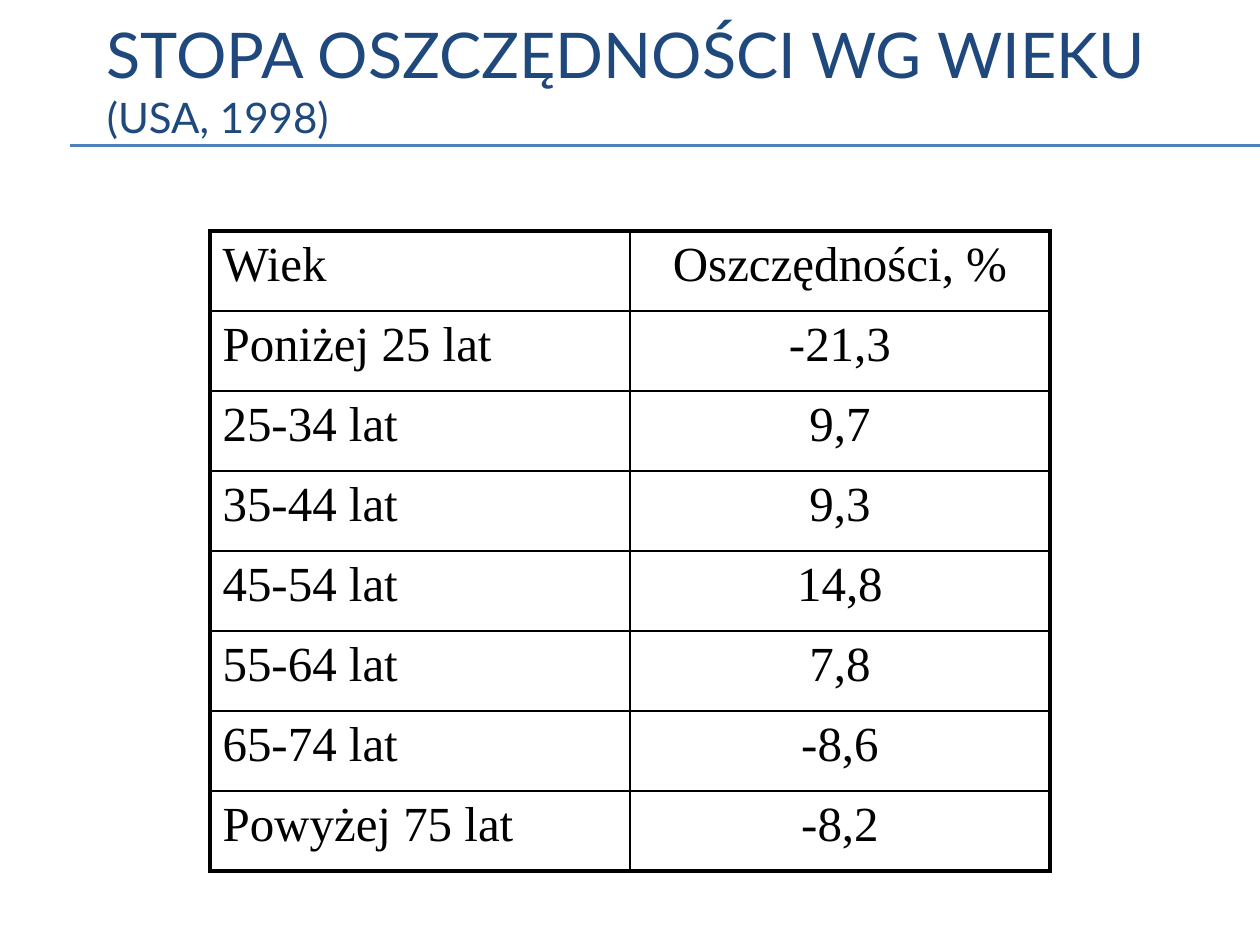
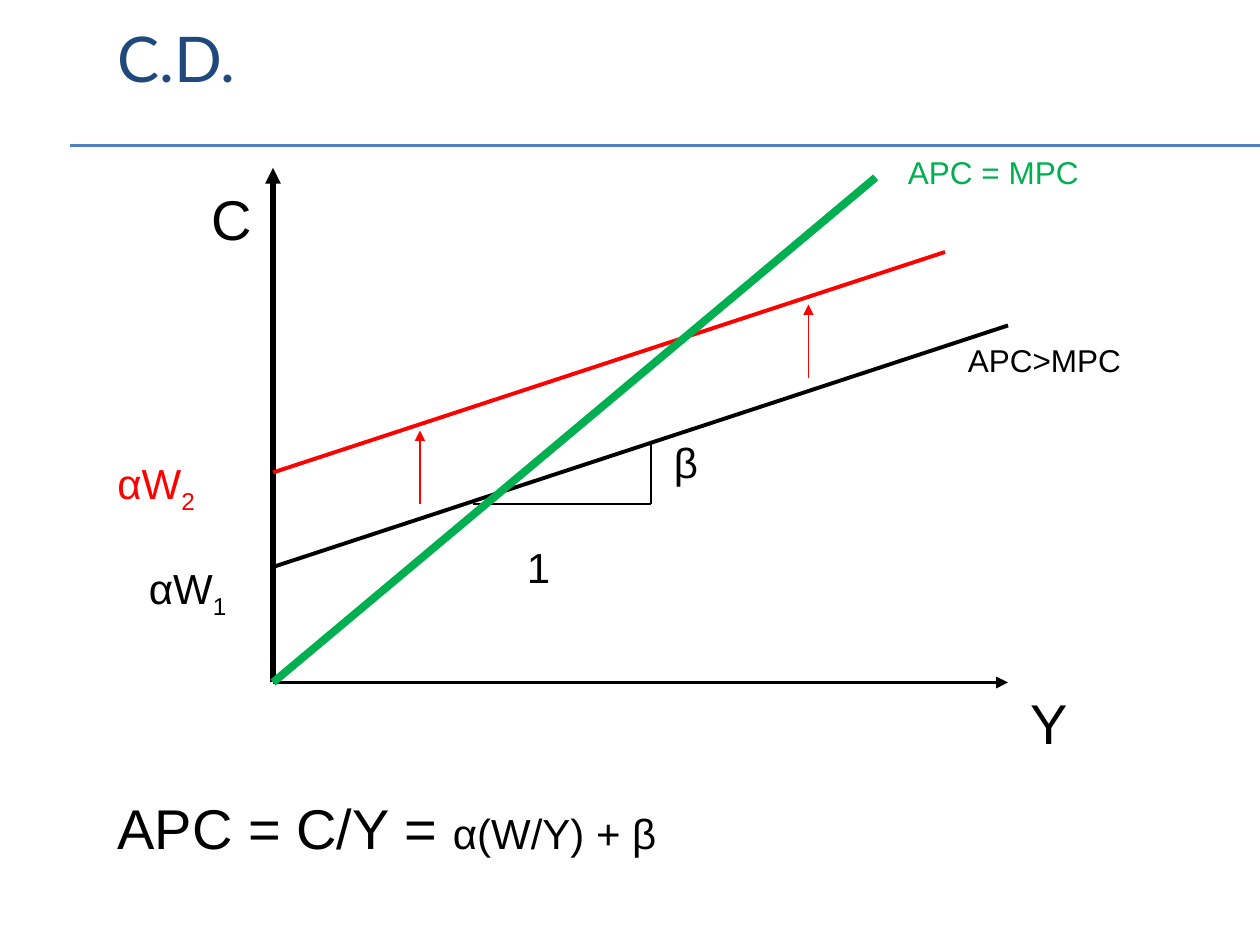
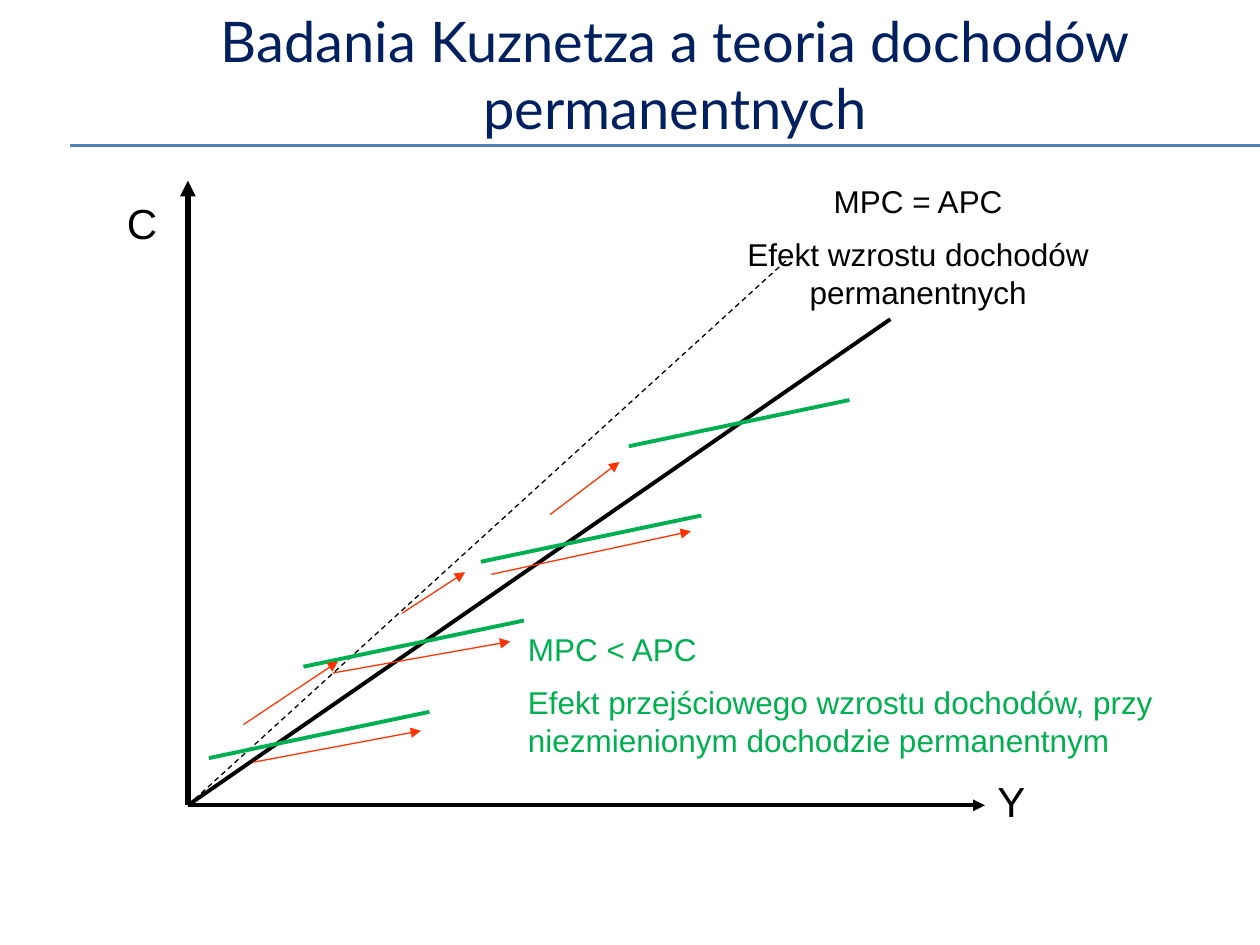
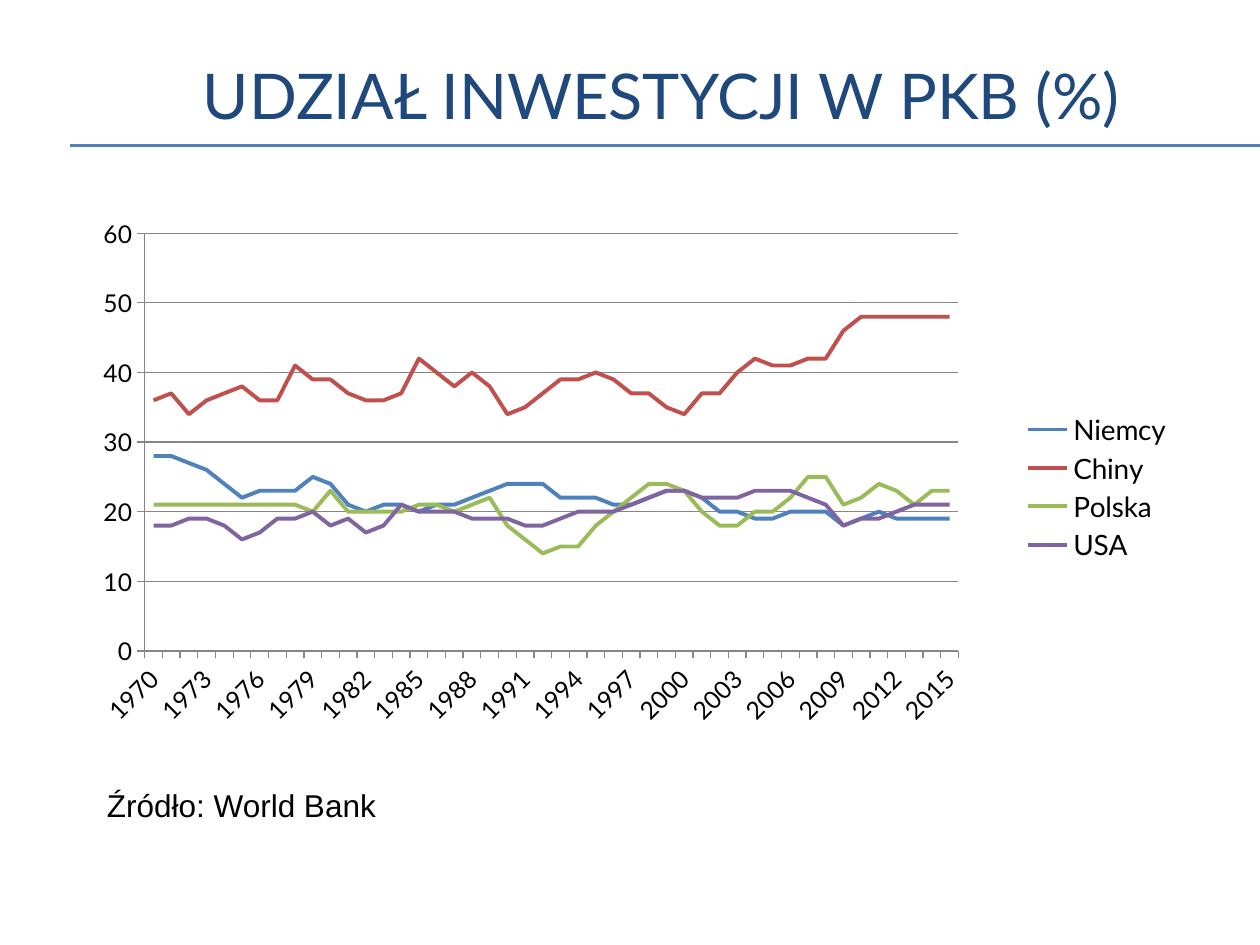
from dataclasses import dataclass
from lxml.etree import SubElement
from pptx import Presentation
from pptx.chart.data import CategoryChartData
from pptx.dml.color import RGBColor
from pptx.enum.chart import XL_CHART_TYPE, XL_LEGEND_POSITION, XL_TICK_MARK
from pptx.enum.dml import MSO_LINE
from pptx.enum.shapes import MSO_CONNECTOR
from pptx.enum.text import MSO_ANCHOR, MSO_AUTO_SIZE, PP_ALIGN
from pptx.oxml import parse_xml
from pptx.oxml.ns import nsdecls, qn
from pptx.util import Inches, Pt


@dataclass(frozen=True)
class Theme:
    title_color: str = "1F497D"
    navy: str = "002060"
    rule: str = "4F81BD"
    ink: str = "000000"
    red: str = "FF0000"
    orange: str = "FF3300"
    green: str = "00B050"
    grid: str = "868686"
    series: tuple = ("4F81BD", "C0504D", "9BBB59", "8064A2")
    title_font: str = "Lato"
    body_font: str = "Arial"
    table_font: str = "Times New Roman"
    title: int = 36
    large: int = 32
    cell: int = 28
    symbol: int = 24
    legend: int = 16
    note: int = 18
    tick: int = 14
    hair: float = 0.75
    thin: float = 1
    medium: float = 2.25
    axis: float = 3
    thick: float = 4.5


T = Theme()
WIDTH, HEIGHT = 10, 7.5
COLUMNS = 120
UNIT = WIDTH / COLUMNS
RULE_ROWS = (13.8, 13.9)

SAVINGS_TITLE = [[("STOPA OSZCZĘDNOŚCI WG WIEKU\n", {}), ("(USA, 1998)", {"size": T.symbol})]]
SAVINGS_BOX = (20, 22, 80, 61)
SAVINGS = [
    ("Wiek", "Oszczędności, %"),
    ("Poniżej 25 lat", "-21,3"),
    ("25-34 lat", "9,7"),
    ("35-44 lat", "9,3"),
    ("45-54 lat", "14,8"),
    ("55-64 lat", "7,8"),
    ("65-74 lat", "-8,6"),
    ("Powyżej 75 lat", "-8,2"),
]

WEALTH_ORIGIN = (26, 65)
WEALTH_LINES = [
    ((62, 48), (62, 42), {}),
    (WEALTH_ORIGIN, (26, 16), {"width": T.axis, "arrow": True}),
    (WEALTH_ORIGIN, (96, 65), {"width": T.medium, "arrow": True}),
    ((26, 54), (96, 31), {"width": T.medium}),
    ((45, 48), (62, 48), {}),
    ((26, 45), (90, 24), {"width": T.medium, "color": T.red}),
    ((77, 36), (77, 29), {"color": T.red, "arrow": True}),
    ((40, 48), (40, 41), {"color": T.red, "arrow": True}),
    (WEALTH_ORIGIN, (83.4, 16.9), {"width": T.thick, "color": T.green}),
]
SUBSCRIPT = {"baseline": -25000}
WEALTH_LABELS = [
    ((19, 17, 6, 7.6), "C", {"size": T.large}),
    ((97, 65, 7, 7.6), "Y", {"size": T.large}),
    ((13, 53, 12, 6), [[("αW", {}), ("1", SUBSCRIPT)]], {"size": T.symbol}),
    ((49, 51, 8, 6), "1", {"size": T.symbol}),
    ((63, 41, 6, 6), "β", {"size": T.symbol}),
    ((10, 75, 96, 7.6), [[("APC = C/Y = ", {}), ("α(W/Y) + β", {"size": T.symbol})]],
     {"size": T.large}),
    ((10, 43, 14, 6), [[("αW", {}), ("2", SUBSCRIPT)]], {"size": T.symbol, "color": T.red}),
    ((91, 31.9, 18.7, 4.8), "APC>MPC", {}),
    ((85.3, 14, 18.7, 4.8), "APC = MPC", {"color": T.green}),
]

INCOME_ORIGIN = (17.9, 76.7)
INCOME_LINES = [
    (INCOME_ORIGIN, (17.9, 17.2), {"width": T.axis, "arrow": True}),
    (INCOME_ORIGIN, (93.8, 76.7), {"width": T.medium, "arrow": True}),
    (INCOME_ORIGIN, (74.9, 24.8), {"dash": True}),
    (INCOME_ORIGIN, (84.8, 30.4), {"width": T.medium}),
]
SHORT_RUN_STARTS = [(19.9, 72.2), (28.9, 63.5), (45.8, 53.5), (59.9, 42.5)]
SHORT_RUN_SPAN = (21, -4.4)
INCOME_SHIFTS = [
    ((24.1, 72.6), (40.1, 69.6)),
    ((23.2, 69), (32.2, 63)),
    ((31.7, 64.1), (48.6, 61.1)),
    ((38.3, 58.4), (44.3, 54.5)),
    ((46.8, 54.7), (65.8, 50.6)),
    ((52.4, 49), (59, 44)),
]
INCOME_LABELS = [
    ((68, 16.7, 38.9, 15.4), ["MPC = APC", "Efekt wzrostu dochodów permanentnych"],
     {"align": PP_ALIGN.CENTER, "before": 0.5}),
    ((49.1, 59.4, 67.1, 15.4),
     ["MPC < APC",
      "Efekt przejściowego wzrostu dochodów, przy niezmienionym dochodzie permanentnym"],
     {"color": T.green, "before": 0.5}),
    ((10.9, 18.2, 7, 6.6), "C", {"size": T.symbol}),
    ((93.8, 73.3, 8, 6.6), "Y", {"size": T.symbol}),
]

INVESTMENT_BOX = (9, 20.4, 103.9, 52)
INVESTMENT_PLOT = {"x": 0.046, "y": 0.035, "w": 0.746, "h": 0.765}
YEARS = [str(year) for year in range(1970, 2016)]
INVESTMENT = {
    "Niemcy": [28, 28, 27, 26, 24, 22, 23, 23, 23, 25, 24, 21, 20, 21, 21, 20,
               21, 21, 22, 23, 24, 24, 24, 22, 22, 22, 21, 21, 22, 23, 23, 22,
               20, 20, 19, 19, 20, 20, 20, 18, 19, 20, 19, 19, 19, 19],
    "Chiny": [36, 37, 34, 36, 37, 38, 36, 36, 41, 39, 39, 37, 36, 36, 37, 42,
              40, 38, 40, 38, 34, 35, 37, 39, 39, 40, 39, 37, 37, 35, 34, 37,
              37, 40, 42, 41, 41, 42, 42, 46, 48, 48, 48, 48, 48, 48],
    "Polska": [21, 21, 21, 21, 21, 21, 21, 21, 21, 20, 23, 20, 20, 20, 20, 21,
               21, 20, 21, 22, 18, 16, 14, 15, 15, 18, 20, 22, 24, 24, 23, 20,
               18, 18, 20, 20, 22, 25, 25, 21, 22, 24, 23, 21, 23, 23],
    "USA": [18, 18, 19, 19, 18, 16, 17, 19, 19, 20, 18, 19, 17, 18, 21, 20,
            20, 20, 19, 19, 19, 18, 18, 19, 20, 20, 20, 21, 22, 23, 23, 22,
            22, 22, 23, 23, 23, 22, 21, 18, 19, 19, 20, 21, 21, 21],
}


def grid(*cells):
    return [Inches(cell * UNIT) for cell in cells]


def set_font(font, size, name, color=T.ink):
    font.size, font.name = Pt(size), name
    font.color.rgb = RGBColor.from_string(color)


def write(frame, content, size=T.note, font=T.body_font, color=T.ink,
          align=PP_ALIGN.LEFT, before=0):
    paragraphs = [content] if isinstance(content, str) else content
    for index, runs in enumerate(paragraphs):
        paragraph = frame.add_paragraph() if index else frame.paragraphs[0]
        paragraph.alignment = align
        paragraph.space_before = Pt(size * before)
        for words, change in [(runs, {})] if isinstance(runs, str) else runs:
            run = paragraph.add_run()
            run.text = words.rstrip("\n")
            set_font(run.font, change.get("size", size), font, color)
            if "baseline" in change:
                run._r.get_or_add_rPr().set("baseline", str(change["baseline"]))
            if words.endswith("\n"):
                paragraph.add_line_break()


def add_text(slide, box, content, anchor=MSO_ANCHOR.TOP, fit=True, **style):
    frame = slide.shapes.add_textbox(*grid(*box)).text_frame
    frame.word_wrap = True
    frame.vertical_anchor = anchor
    frame.auto_size = MSO_AUTO_SIZE.SHAPE_TO_FIT_TEXT if fit else MSO_AUTO_SIZE.NONE
    write(frame, content, **style)


def add_title(slide, box, content, **style):
    style = {"size": T.title, "font": T.title_font, "color": T.title_color,
             "anchor": MSO_ANCHOR.MIDDLE, "fit": False, **style}
    add_text(slide, box, content, **style)


def add_line(slide, start, end, color=T.ink, width=T.hair, arrow=False, dash=False):
    segment = slide.shapes.add_connector(MSO_CONNECTOR.STRAIGHT, *grid(*start, *end))
    segment.line.color.rgb = RGBColor.from_string(color)
    segment.line.width = Pt(width)
    if dash:
        segment.line.dash_style = MSO_LINE.DASH
    properties = segment._element.spPr
    if arrow:
        SubElement(properties.find(qn("a:ln")), qn("a:tailEnd"), type="triangle")
    SubElement(properties, qn("a:effectLst"))


def add_diagram(slide, lines, labels):
    for start, end, style in lines:
        add_line(slide, start, end, **style)
    for box, content, style in labels:
        add_text(slide, box, content, **style)


def add_slide(deck):
    slide = deck.slides.add_slide(deck.slide_layouts[6])
    for row in RULE_ROWS:
        add_line(slide, (6.7, row), (COLUMNS, row), color=T.rule)
    return slide


def set_borders(cell, widths):
    properties = cell._tc.get_or_add_tcPr()
    for index, (side, width) in enumerate(zip("LRTB", widths)):
        properties.insert(index, parse_xml(
            f'<a:ln{side} {nsdecls("a")} w="{int(Pt(width))}"><a:solidFill>'
            f'<a:srgbClr val="{T.ink}"/></a:solidFill></a:ln{side}>'))


def build_savings(deck):
    slide = add_slide(deck)
    add_title(slide, (9, 0, 102, 15), SAVINGS_TITLE)
    row_count, column_count = len(SAVINGS), len(SAVINGS[0])
    table = slide.shapes.add_table(row_count, column_count, *grid(*SAVINGS_BOX)).table
    table.first_row = table.horz_banding = False
    for row in table.rows:
        row.height = Inches(SAVINGS_BOX[3] * UNIT / row_count)
    for r, values in enumerate(SAVINGS):
        for c, value in enumerate(values):
            cell = table.cell(r, c)
            cell.fill.background()
            outer = (c == 0, c == column_count - 1, r == 0, r == row_count - 1)
            set_borders(cell, [T.medium if edge else T.thin for edge in outer])
            write(cell.text_frame, value, size=T.cell, font=T.table_font, before=0.2,
                  align=PP_ALIGN.CENTER if c else PP_ALIGN.LEFT)


def build_wealth(deck):
    slide = add_slide(deck)
    add_title(slide, (10, 0, 102, 11), "C.D.")
    add_diagram(slide, WEALTH_LINES, WEALTH_LABELS)


def build_income(deck):
    slide = add_slide(deck)
    dx, dy = SHORT_RUN_SPAN
    short_run = [((x, y), (x + dx, y + dy), {"color": T.green, "width": T.medium})
                 for x, y in SHORT_RUN_STARTS]
    shifts = [(start, end, {"color": T.orange, "arrow": True}) for start, end in INCOME_SHIFTS]
    add_diagram(slide, INCOME_LINES + short_run + shifts, INCOME_LABELS)
    add_title(slide, (13.7, 0, 101.2, 14.2), "Badania Kuznetza a teoria dochodów permanentnych",
              size=T.large, color=T.navy, align=PP_ALIGN.CENTER,
              anchor=MSO_ANCHOR.TOP, fit=True)


def build_investment(deck):
    slide = add_slide(deck)
    add_title(slide, (6, 3.5, 114, 11), "UDZIAŁ INWESTYCJI W PKB (%)", align=PP_ALIGN.CENTER)
    data = CategoryChartData()
    data.categories = YEARS
    for country, shares in INVESTMENT.items():
        data.add_series(country, shares)
    chart = slide.shapes.add_chart(XL_CHART_TYPE.LINE, *grid(*INVESTMENT_BOX), data).chart
    chart.has_title = False
    set_font(chart.font, T.tick, T.title_font)
    chart.has_legend = True
    chart.legend.position = XL_LEGEND_POSITION.RIGHT
    chart.legend.include_in_layout = False
    set_font(chart.legend.font, T.legend, T.title_font)
    for axis in (chart.category_axis, chart.value_axis):
        axis.major_tick_mark = XL_TICK_MARK.OUTSIDE
        axis.minor_tick_mark = XL_TICK_MARK.NONE
        axis.format.line.color.rgb = RGBColor.from_string(T.grid)
        set_font(axis.tick_labels.font, T.tick, T.title_font)
    chart.value_axis.minimum_scale, chart.value_axis.maximum_scale = 0, 60
    chart.value_axis.major_unit = 10
    chart.value_axis.major_gridlines.format.line.color.rgb = RGBColor.from_string(T.grid)
    chart.plots[0].vary_by_categories = False
    for series, color in zip(chart.plots[0].series, T.series):
        series.smooth = False
        series.format.line.color.rgb = RGBColor.from_string(color)
        series.format.line.width = Pt(T.medium)
    area = chart._chartSpace.chart.plotArea
    for layout in area.findall(qn("c:layout")):
        area.remove(layout)
    shares = "".join(f'<c:{side} val="{share}"/>' for side, share in INVESTMENT_PLOT.items())
    area.insert(0, parse_xml(
        f'<c:layout {nsdecls("c")}><c:manualLayout><c:layoutTarget val="inner"/>'
        f'<c:xMode val="edge"/><c:yMode val="edge"/>{shares}</c:manualLayout></c:layout>'))
    add_text(slide, (9, 74.3, 36.8, 4.8), "Źródło: World Bank")


def main():
    deck = Presentation()
    deck.slide_width, deck.slide_height = Inches(WIDTH), Inches(HEIGHT)
    for build in (build_savings, build_wealth, build_income, build_investment):
        build(deck)
    deck.save("out.pptx")


if __name__ == "__main__":
    main()
